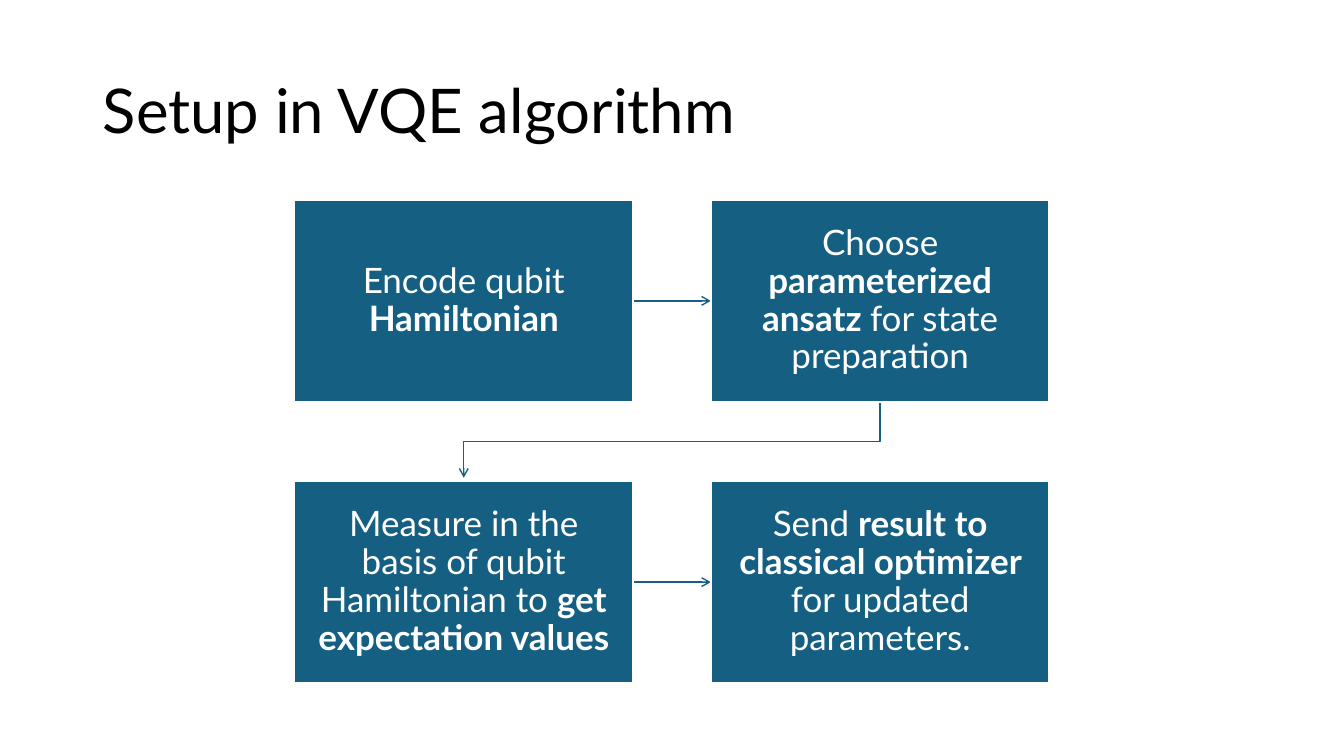
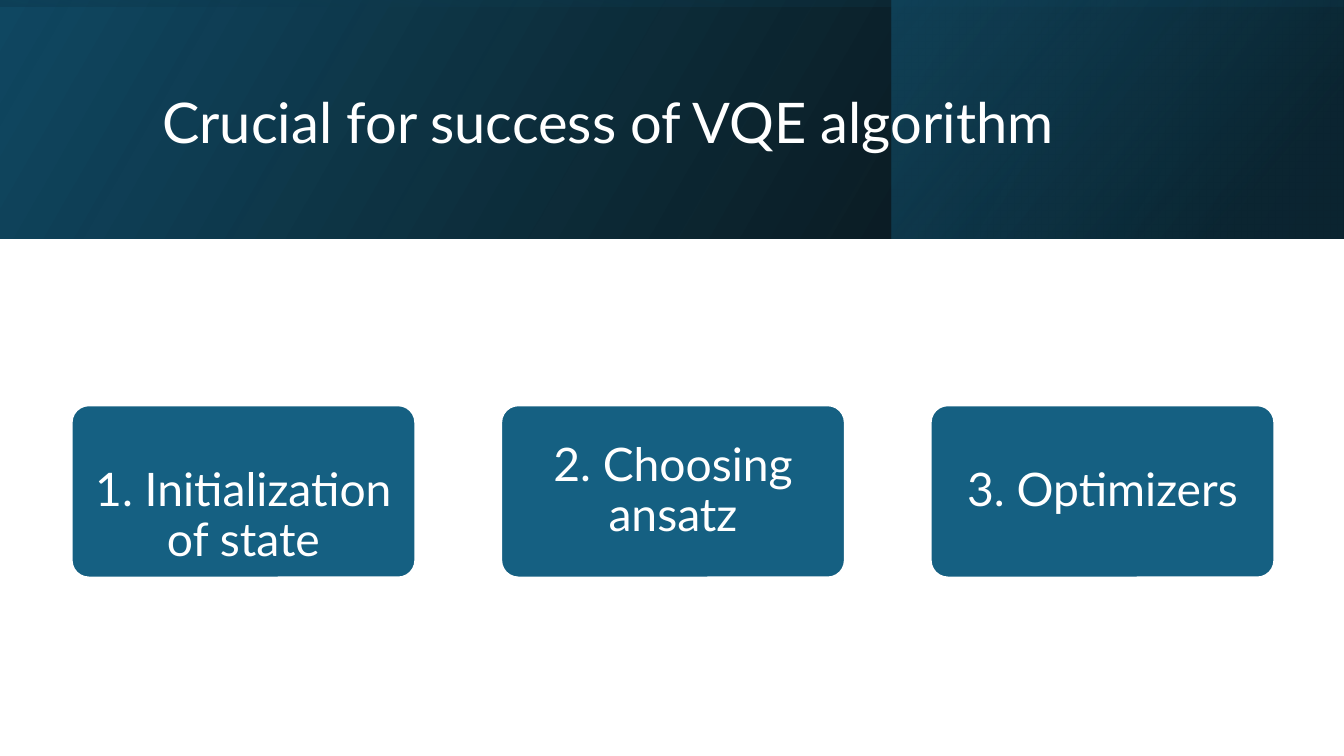
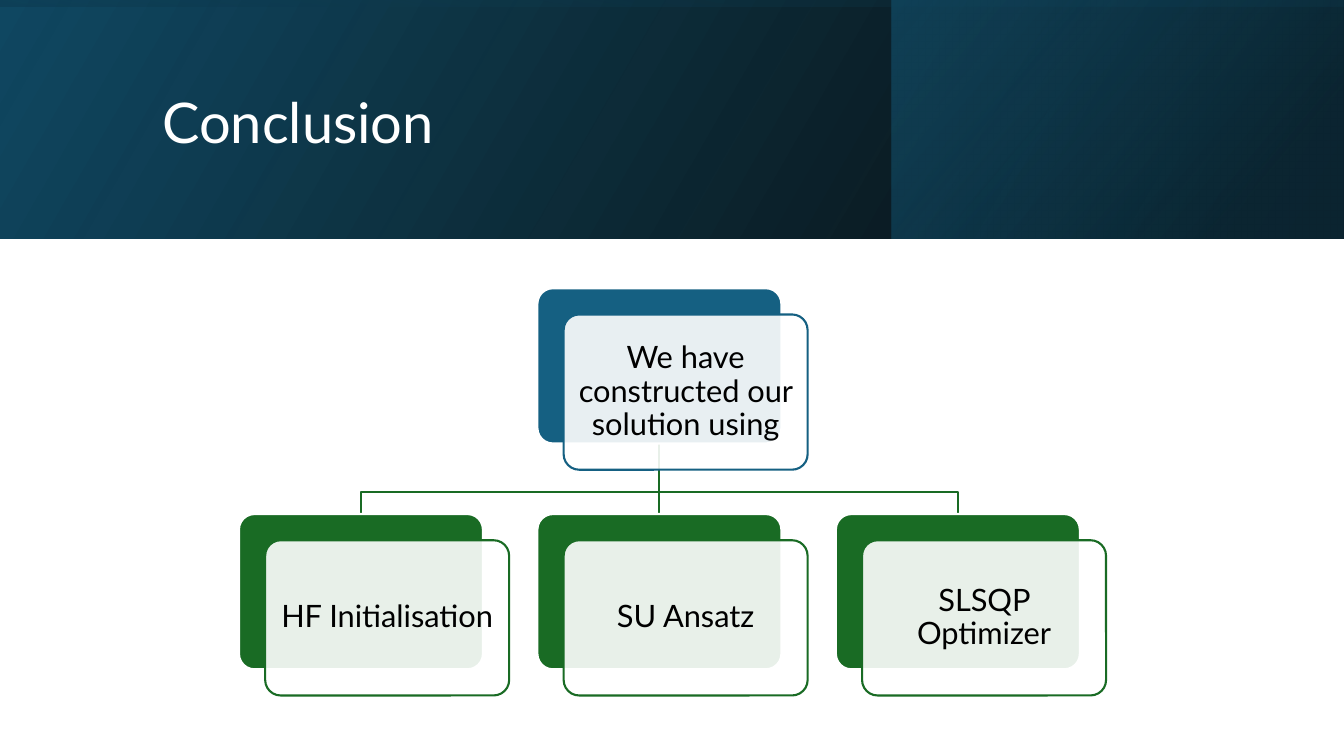
from dataclasses import dataclass

from lxml import etree
from pptx import Presentation
from pptx.dml.color import RGBColor
from pptx.enum.shapes import MSO_CONNECTOR, MSO_SHAPE
from pptx.enum.text import MSO_ANCHOR, MSO_AUTO_SIZE, PP_ALIGN
from pptx.oxml.ns import qn
from pptx.util import Inches, Pt

RECTANGLE = MSO_SHAPE.RECTANGLE
ROUNDED = MSO_SHAPE.ROUNDED_RECTANGLE
STRAIGHT = MSO_CONNECTOR.STRAIGHT
MIDDLE = MSO_ANCHOR.MIDDLE
NO_AUTOFIT = MSO_AUTO_SIZE.NONE
LEFT, CENTER = PP_ALIGN.LEFT, PP_ALIGN.CENTER
TOP_SIDE, LEFT_SIDE, BOTTOM_SIDE, RIGHT_SIDE = range(4)
TITLE_ONLY = 5


@dataclass(frozen=True)
class Theme:
    font: str = "Lato"
    blue: str = "156082"
    deep_blue: str = "104862"
    navy: str = "0B3041"
    green: str = "196B24"
    black: str = "000000"
    white: str = "FFFFFF"
    title_size: int = 44
    band_title_size: int = 40
    step_size: int = 25
    factor_size: int = 33
    card_size: int = 22
    line_spacing: float = 0.9
    outline: float = 1.5
    arrow: float = 1
    corner: float = 0.1


THEME = Theme()

# Title band layers: position, rotation, gradient angle, (stop, colour, opacity)
BAND_LAYERS = [
    ((0, 0, 13.33, 2.37), 0, 330,
     [(0, THEME.black, 96), (100, THEME.deep_blue, 100)]),
    ((8.84, 0, 4.48, 2.37), 0, 320,
     [(19, THEME.navy, 68), (100, THEME.blue, 48)]),
    ((5.48, -5.48, 2.37, 13.33), 270, 350,
     [(23, THEME.deep_blue, 16), (99, THEME.black, 45)]),
]


def rgb(color):
    return RGBColor.from_string(color)


def set_opacity(color_element, percent):
    alpha = etree.SubElement(color_element, qn("a:alpha"))
    alpha.set("val", str(percent * 1000))


class Deck:
    """Holds the theme and the slide being drawn."""

    def __init__(self, theme):
        self.theme = theme
        self.presentation = Presentation()
        self.presentation.slide_width = Inches(13.33)
        self.presentation.slide_height = Inches(7.5)
        self.slide = None

    def new_slide(self):
        layout = self.presentation.slide_layouts[TITLE_ONLY]
        self.slide = self.presentation.slides.add_slide(layout)

    def send_to_back(self, shape):
        self.slide.shapes._spTree.insert(2, shape._element)

    def set_text(self, shape, text, size, color, alignment=CENTER):
        """Put text in a shape; parts between asterisks are bold."""
        frame = shape.text_frame
        frame.word_wrap = True
        frame.auto_size = NO_AUTOFIT
        frame.vertical_anchor = MIDDLE
        paragraph = frame.paragraphs[0]
        paragraph.alignment = alignment
        paragraph.line_spacing = self.theme.line_spacing
        paragraph.font.name = self.theme.font
        paragraph.font.size = Pt(size)
        paragraph.font.color.rgb = rgb(color)
        for index, part in enumerate(text.split("*")):
            if part:
                run = paragraph.add_run()
                run.text = part
                if index % 2:
                    run.font.bold = True

    def title(self, text, box, size, color):
        title = self.slide.shapes.title
        title.left, title.top, title.width, title.height = map(Inches, box)
        self.set_text(title, text, size, color, LEFT)

    def band_title(self, text):
        for box, rotation, angle, stops in BAND_LAYERS:
            self.gradient_layer(box, rotation, angle, stops)
        title = self.slide.shapes.title
        self.slide.shapes._spTree.append(title._element)
        self.title(text, (1.51, 0.38, 10.63, 1.72),
                   self.theme.band_title_size, self.theme.white)

    def gradient_layer(self, box, rotation, angle, stops):
        layer = self.slide.shapes.add_shape(RECTANGLE, *map(Inches, box))
        layer.shadow.inherit = False
        layer.line.fill.background()
        layer.rotation = rotation
        properties = layer._element.spPr
        properties.find(qn("a:xfrm")).set("flipH", "1")
        layer.fill.gradient()
        layer.fill.gradient_angle = 360 - angle
        for stop, (position, color, _) in zip(layer.fill.gradient_stops, stops):
            stop.position = position / 100
            stop.color.rgb = rgb(color)
        colors = properties.iter(qn("a:srgbClr"))
        for color_element, (_, _, opacity) in zip(list(colors), stops):
            set_opacity(color_element, opacity)

    def box(self, kind, position, fill, line, opacity=100):
        shape = self.slide.shapes.add_shape(kind, *map(Inches, position))
        shape.shadow.inherit = False
        shape.fill.solid()
        shape.fill.fore_color.rgb = rgb(fill)
        shape.line.color.rgb = rgb(line)
        shape.line.width = Pt(self.theme.outline)
        if kind == ROUNDED:
            shape.adjustments[0] = self.theme.corner
        if opacity < 100:
            solid = shape._element.spPr.find(qn("a:solidFill"))
            set_opacity(solid[0], opacity)
        return shape

    def text_box(self, kind, position, text, size, insets,
                 fill=THEME.blue, line=THEME.white, color=THEME.white,
                 opacity=100):
        shape = self.box(kind, position, fill, line, opacity)
        frame = shape.text_frame
        (frame.margin_left, frame.margin_top,
         frame.margin_right, frame.margin_bottom) = map(Inches, insets)
        self.set_text(shape, text, size, color)
        return shape

    def card(self, left, top, text, color):
        """A filled card with an offset panel; returns the card behind."""
        width, height, offset = 2.42, 1.54, 0.26
        back = self.box(ROUNDED, (left, top, width, height),
                        color, self.theme.white)
        self.text_box(ROUNDED, (left + offset, top + offset, width, height),
                      text, self.theme.card_size, (0.09,) * 4,
                      self.theme.white, color, self.theme.black, 90)
        return back

    def style_line(self, shape, color, width, arrow):
        shape.line.color.rgb = rgb(color)
        shape.line.width = Pt(width)
        if arrow:
            line = shape._element.spPr.find(qn("a:ln"))
            etree.SubElement(line, qn("a:tailEnd")).set("type", "arrow")
        self.send_to_back(shape)

    def link(self, start, start_side, end, end_side, color, width, arrow=False):
        connector = self.slide.shapes.add_connector(STRAIGHT, 0, 0, 0, 0)
        connector.begin_connect(start, start_side)
        connector.end_connect(end, end_side)
        self.style_line(connector, color, width, arrow)
        etree.SubElement(connector._element.spPr, qn("a:effectLst"))

    def bent_line(self, points, color, width, arrow=False):
        points = [(Inches(x), Inches(y)) for x, y in points]
        builder = self.slide.shapes.build_freeform(*points[0])
        builder.add_line_segments(points[1:], close=False)
        shape = builder.convert_to_shape()
        shape.shadow.inherit = False
        shape.fill.background()
        self.style_line(shape, color, width, arrow)


def setup_slide(deck):
    theme = deck.theme
    deck.new_slide()
    deck.title("Setup in VQE algorithm", (0.92, 0.4, 11.5, 1.45),
               theme.title_size, theme.black)

    # Two by two grid of steps
    left, top, width, height = 2.92, 1.98, 3.36, 2.01
    column_step, row_step = 4.13, 2.79
    texts = [
        "Encode qubit *Hamiltonian*",
        "Choose *parameterized ansatz *for state preparation",
        "Measure in the basis of qubit Hamiltonian to *get expectation values*",
        "Send *result to classical optimizer *for updated parameters.",
    ]
    steps = []
    for index, text in enumerate(texts):
        row, column = divmod(index, 2)
        position = (left + column * column_step, top + row * row_step,
                    width, height)
        steps.append(deck.text_box(RECTANGLE, position, text, theme.step_size,
                                   (0.16, 0.17, 0.16, 0.17)))

    # Arrows along the rows and from the first row to the second
    for start, end in (steps[:2], steps[2:]):
        deck.link(start, RIGHT_SIDE, end, LEFT_SIDE,
                  theme.blue, theme.arrow, True)
    target_x = left + width / 2
    source_x = target_x + column_step
    deck.bent_line([(source_x, 4), (source_x, 4.38),
                    (target_x, 4.38), (target_x, 4.74)],
                   theme.blue, theme.arrow, True)


def factors_slide(deck):
    deck.new_slide()
    deck.band_title("Crucial for success of VQE algorithm")

    # Row of three factors; the first one sits lower in its box
    factors = [("1. Initialization of state", 0.55),
               ("2. Choosing ansatz", 0.05),
               ("3. Optimizers", 0.05)]
    for index, (text, top_inset) in enumerate(factors):
        deck.text_box(ROUNDED, (0.71 + index * 4.26, 4.02, 3.41, 1.71), text,
                      deck.theme.factor_size, (0.07, top_inset, 0.07, 0.05))


def conclusion_slide(deck):
    theme = deck.theme
    deck.new_slide()
    deck.band_title("Conclusion")

    # Parent card above three child cards
    left, step, half_width, child_top = 2.37, 2.96, 1.21, 5.1
    parent = deck.card(left + step, 2.86,
                       "We have constructed our solution using", theme.blue)
    texts = ["HF Initialisation", "SU Ansatz", "SLSQP Optimizer"]
    children = [deck.card(left + index * step, child_top, text, theme.green)
                for index, text in enumerate(texts)]

    # Branches
    deck.link(parent, BOTTOM_SIDE, children[1], TOP_SIDE,
              theme.green, theme.outline)
    trunk_x = left + step + half_width
    for branch_x in (trunk_x - step, trunk_x + step):
        deck.bent_line([(trunk_x, 4.4), (trunk_x, 4.88),
                        (branch_x, 4.88), (branch_x, child_top)],
                       theme.green, theme.outline)


def main():
    deck = Deck(THEME)
    setup_slide(deck)
    factors_slide(deck)
    conclusion_slide(deck)
    deck.presentation.save("out.pptx")


if __name__ == "__main__":
    main()
